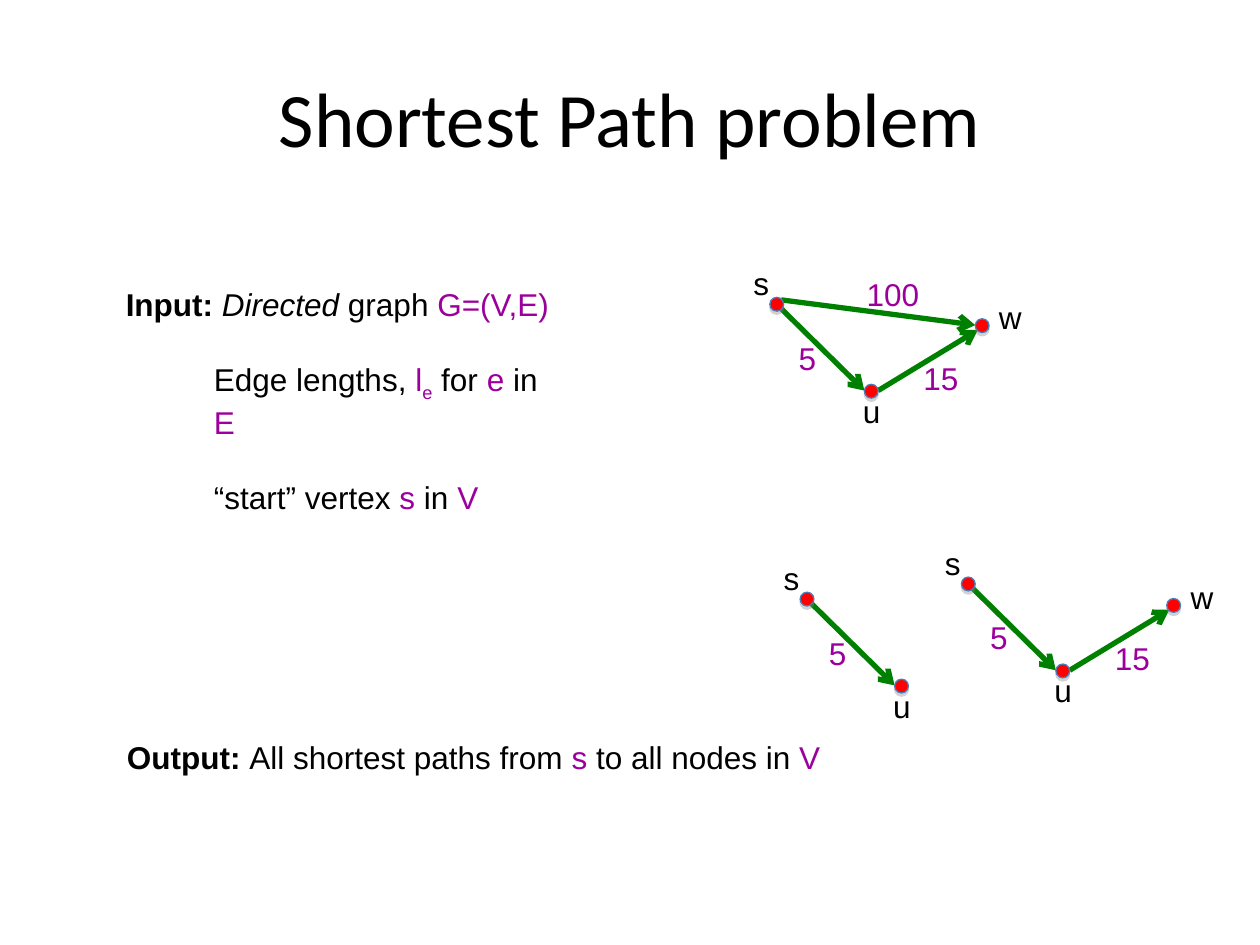
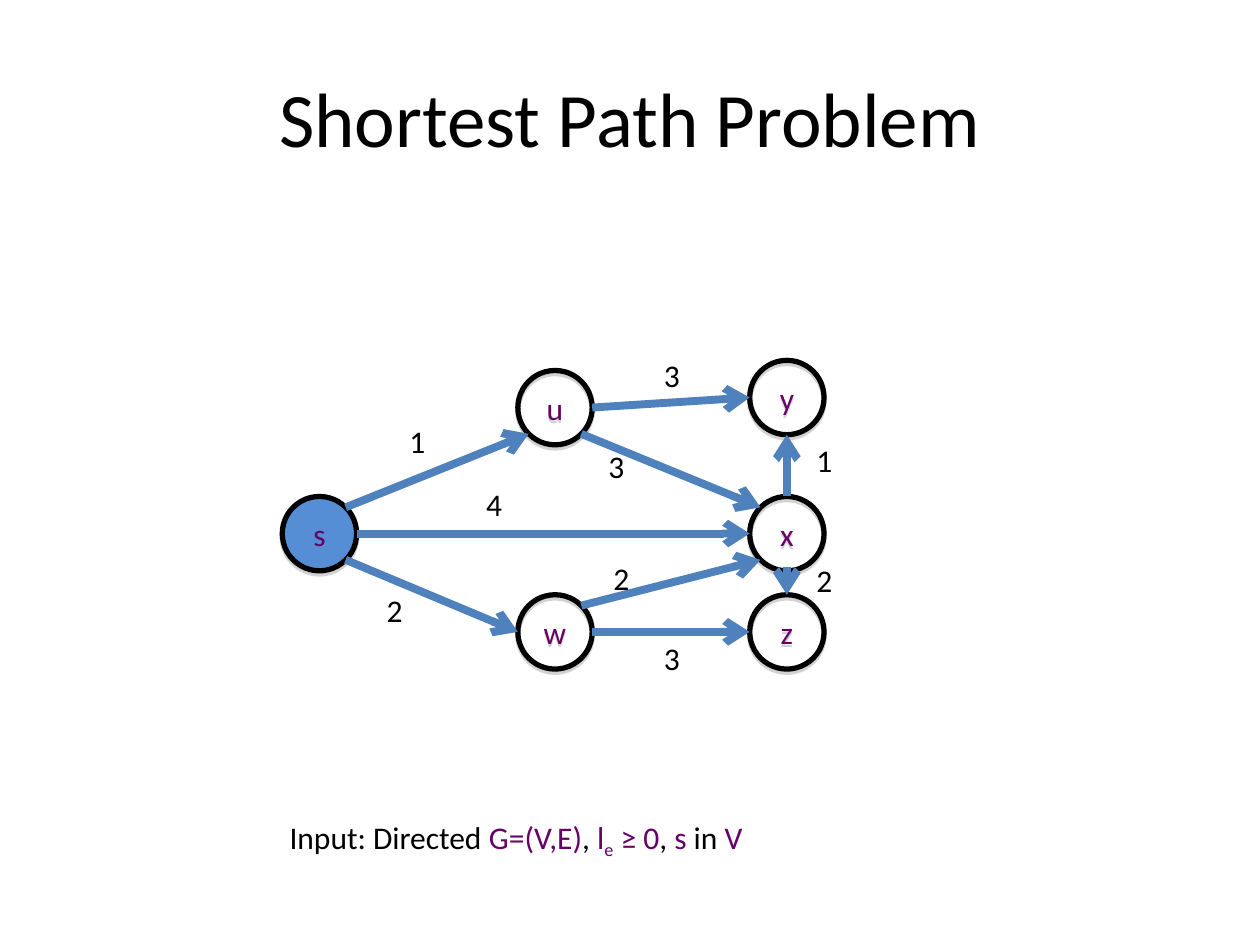
from math import cos, radians, sin

from lxml.etree import SubElement
from pptx import Presentation
from pptx.dml.color import RGBColor
from pptx.enum.shapes import MSO_CONNECTOR, MSO_SHAPE
from pptx.enum.text import MSO_ANCHOR, MSO_AUTO_SIZE, PP_ALIGN
from pptx.oxml.ns import qn
from pptx.util import Inches, Pt

BLACK = RGBColor(0x00, 0x00, 0x00)
PURPLE = RGBColor(0x9C, 0x00, 0x9C)
DARK_PURPLE = RGBColor(0x66, 0x00, 0x66)
GREEN = RGBColor(0x00, 0x80, 0x00)
RED = RGBColor(0xFF, 0x00, 0x00)
BLUE = RGBColor(0x4F, 0x81, 0xBD)
DOT_OUTLINE = RGBColor(0x4A, 0x7E, 0xBB)
START_BLUE = RGBColor(0x55, 0x8E, 0xD5)

DOT = 0.11
DOTS = {"s": (0, 0), "u": (0.75, 0.69), "w": (1.63, 0.17)}
DOT_LABELS = {"s": (-0.23, -0.31, 0.32), "u": (0.64, 0.7, 0.34), "w": (1.72, -0.04, 0.38)}
DOT_EDGES = {
    "su": ((0.09, 0.09), (0.75, 0.74), "5", (0.13, 0.28, 0.31)),
    "uw": ((0.86, 0.74), (1.65, 0.26), "15", (1.12, 0.44, 0.48)),
    "sw": ((0.09, 0.02), (1.63, 0.22), "100", (0.67, -0.23, 0.66)),
}

NODE = 0.59
NODES = {"s": (0, 1.08), "w": (1.87, 1.86), "u": (1.87, 0.08),
         "z": (3.71, 1.86), "x": (3.71, 1.08), "y": (3.71, 0)}
TOP, TOP_LEFT, LEFT, BOTTOM_LEFT, BOTTOM, BOTTOM_RIGHT, RIGHT, TOP_RIGHT = range(8)
NODE_EDGES = [
    ("s", TOP_RIGHT, "u", BOTTOM_LEFT, "1", (0.91, 0.44)),
    ("u", RIGHT, "y", LEFT, "3", (2.93, -0.08)),
    ("s", BOTTOM_RIGHT, "w", LEFT, "2", (0.73, 1.78)),
    ("w", RIGHT, "z", LEFT, "3", (2.93, 2.16)),
    ("x", TOP, "y", BOTTOM, "1", (4.14, 0.59)),
    ("x", BOTTOM, "z", TOP, "2", (4.14, 1.54)),
    ("s", RIGHT, "x", LEFT, "4", (1.52, 0.94)),
    ("u", BOTTOM_RIGHT, "x", TOP_LEFT, "3", (2.49, 0.64)),
    ("w", TOP_RIGHT, "x", BOTTOM_LEFT, "2", (2.53, 1.53)),
]


def set_font(font, name, size, color):
    """Give a font its name, size and colour."""
    font.name, font.size = name, Pt(size)
    font.color.rgb = color


def add_title(slide, title):
    """Add the centred slide title."""
    frame = slide.shapes.add_textbox(Inches(0.5), Inches(0.3), Inches(9), Inches(1.25)).text_frame
    frame.word_wrap = True
    frame.vertical_anchor = MSO_ANCHOR.MIDDLE
    frame.text = title
    frame.paragraphs[0].alignment = PP_ALIGN.CENTER
    set_font(frame.paragraphs[0].runs[0].font, "Calibri", 44, BLACK)


def add_statement(slide, box, lines, font_name, accent, wrap=False):
    """Add lines of (text, style) pieces, indenting all but the first."""
    frame = slide.shapes.add_textbox(*map(Inches, box)).text_frame
    frame.word_wrap = wrap
    frame.auto_size = MSO_AUTO_SIZE.SHAPE_TO_FIT_TEXT
    for number, pieces in enumerate(lines):
        paragraph = frame.add_paragraph() if number else frame.paragraphs[0]
        if number:
            paragraph.space_before = Pt(21.5)
            paragraph._p.get_or_add_pPr().set("marL", str(Inches(0.7)))
        for text, style in pieces:
            run = paragraph.add_run()
            run.text = text
            set_font(run.font, font_name, 18, accent if style in ("math", "sub") else BLACK)
            run.font.bold = style == "bold"
            run.font.italic = style == "italic"
            if style == "sub":
                run._r.get_or_add_rPr().set("baseline", "-25000")


def add_label(slide, left, top, width, text, font_name, color):
    """Add a short graph label."""
    frame = slide.shapes.add_textbox(Inches(left), Inches(top), Inches(width), Inches(0.4)).text_frame
    frame.word_wrap = False
    frame.auto_size = MSO_AUTO_SIZE.SHAPE_TO_FIT_TEXT
    frame.text = text
    set_font(frame.paragraphs[0].runs[0].font, font_name, 18, color)


def add_vertex(slide, left, top, size, fill, outline, weight):
    """Add a round vertex with a soft drop shadow."""
    vertex = slide.shapes.add_shape(
        MSO_SHAPE.OVAL, Inches(left), Inches(top), Inches(size), Inches(size))
    if fill is None:
        vertex.fill.background()
    else:
        vertex.fill.solid()
        vertex.fill.fore_color.rgb = fill
    vertex.line.color.rgb = outline
    vertex.line.width = Pt(weight)
    vertex.shadow.inherit = False
    effects = vertex._element.spPr.find(qn("a:effectLst"))
    shadow = SubElement(effects, qn("a:outerShdw"), dist=str(Pt(1.8)), dir="5400000", rotWithShape="0")
    shade = SubElement(shadow, qn("a:srgbClr"), val="808080")
    SubElement(shade, qn("a:alpha"), val="35000")
    return vertex


def add_arrow(slide, start, end, color, weight):
    """Add a straight arrow between two points."""
    arrow = slide.shapes.add_connector(MSO_CONNECTOR.STRAIGHT, *map(Inches, (*start, *end)))
    arrow.line.color.rgb = color
    arrow.line.width = Pt(weight)
    SubElement(arrow.line._get_or_add_ln(), qn("a:tailEnd"), type="arrow")
    SubElement(arrow._element.spPr, qn("a:effectLst"))
    return arrow


def add_dot_graph(slide, left, top, vertices, edges):
    """Add a small graph whose s dot has its corner at left, top."""
    for edge in edges:
        start, end, length, (x, y, width) = DOT_EDGES[edge]
        add_arrow(slide, (left + start[0], top + start[1]), (left + end[0], top + end[1]), GREEN, 3)
        add_label(slide, left + x, top + y, width, length, "Arial", PURPLE)
    for vertex in vertices:
        x, y = DOTS[vertex]
        add_vertex(slide, left + x, top + y, DOT, RED, DOT_OUTLINE, 0.75)
        x, y, width = DOT_LABELS[vertex]
        add_label(slide, left + x, top + y, width, vertex, "Arial", BLACK)


def site_point(left, top, site):
    """Return the point of a node's connection site."""
    radius, angle = NODE / 2, radians(45 * site)
    return left + radius * (1 - sin(angle)), top + radius * (1 - cos(angle))


def add_node_graph(slide, left, top):
    """Add the six-node weighted graph in the box at left, top."""
    corners = {name: (left + x, top + y) for name, (x, y) in NODES.items()}
    nodes = {}
    for name, corner in corners.items():
        node = add_vertex(slide, *corner, NODE, START_BLUE if name == "s" else None, BLACK, 3)
        frame = node.text_frame
        frame.vertical_anchor = MSO_ANCHOR.MIDDLE
        frame.text = name
        frame.paragraphs[0].alignment = PP_ALIGN.CENTER
        set_font(frame.paragraphs[0].runs[0].font, "Calibri", 18, DARK_PURPLE)
        nodes[name] = node
    for source, exit_site, target, entry_site, _, _ in NODE_EDGES:
        arrow = add_arrow(slide, site_point(*corners[source], exit_site),
                          site_point(*corners[target], entry_site), BLUE, 4.5)
        joints = arrow._element.nvCxnSpPr.cNvCxnSpPr
        for tag, name, site in (("a:stCxn", source, exit_site), ("a:endCxn", target, entry_site)):
            SubElement(joints, qn(tag), id=str(nodes[name].shape_id), idx=str(site))
    for *_, length, (x, y) in NODE_EDGES:
        add_label(slide, left + x, top + y, 0.32, length, "Calibri", BLACK)


def build_definition(slide):
    """Build the slide that states the problem's input and output."""
    add_title(slide, "Shortest Path problem")
    add_statement(slide, (0.9, 2.21, 3.7, 1.64), [
        [("Input: ", "bold"), ("Directed", "italic"), (" graph ", ""), ("G=(V,E)", "math")],
        [("Edge lengths, ", ""), ("l", "math"), ("e", "sub"), (" for ", ""), ("e", "math"),
         (" in ", ""), ("E", "math")],
        [("“start” vertex ", ""), ("s", "math"), (" in ", ""), ("V", "math")],
    ], "Arial", PURPLE)
    add_statement(slide, (0.91, 5.81, 5.7, 0.4), [
        [("Output: ", "bold"), ("All shortest paths from ", ""), ("s", "math"),
         (" to all nodes in ", ""), ("V", "math")],
    ], "Arial", PURPLE)
    add_dot_graph(slide, 6.11, 2.36, "suw", ("sw", "uw", "su"))
    add_dot_graph(slide, 6.35, 4.7, "su", ("su",))
    add_dot_graph(slide, 7.63, 4.58, "suw", ("uw", "su"))


def build_example(slide):
    """Build the slide with the weighted example graph."""
    add_title(slide, "Shortest Path Problem")
    add_statement(slide, (2.2, 6.44, 4.83, 0.44), [
        [("Input: Directed ", ""), ("G=(V,E)", "math"), (", ", ""), ("l", "math"), ("e", "sub"),
         (" ≥ 0", "math"), (", ", ""), ("s", "math"), (" in ", ""), ("V", "math")],
    ], "Calibri", DARK_PURPLE, wrap=True)
    add_node_graph(slide, 2.24, 2.86)


def main():
    """Build and save the presentation."""
    presentation = Presentation()
    presentation.slide_width, presentation.slide_height = Inches(10), Inches(7.5)
    for build in (build_definition, build_example):
        build(presentation.slides.add_slide(presentation.slide_layouts[6]))
    presentation.save("out.pptx")


if __name__ == "__main__":
    main()
